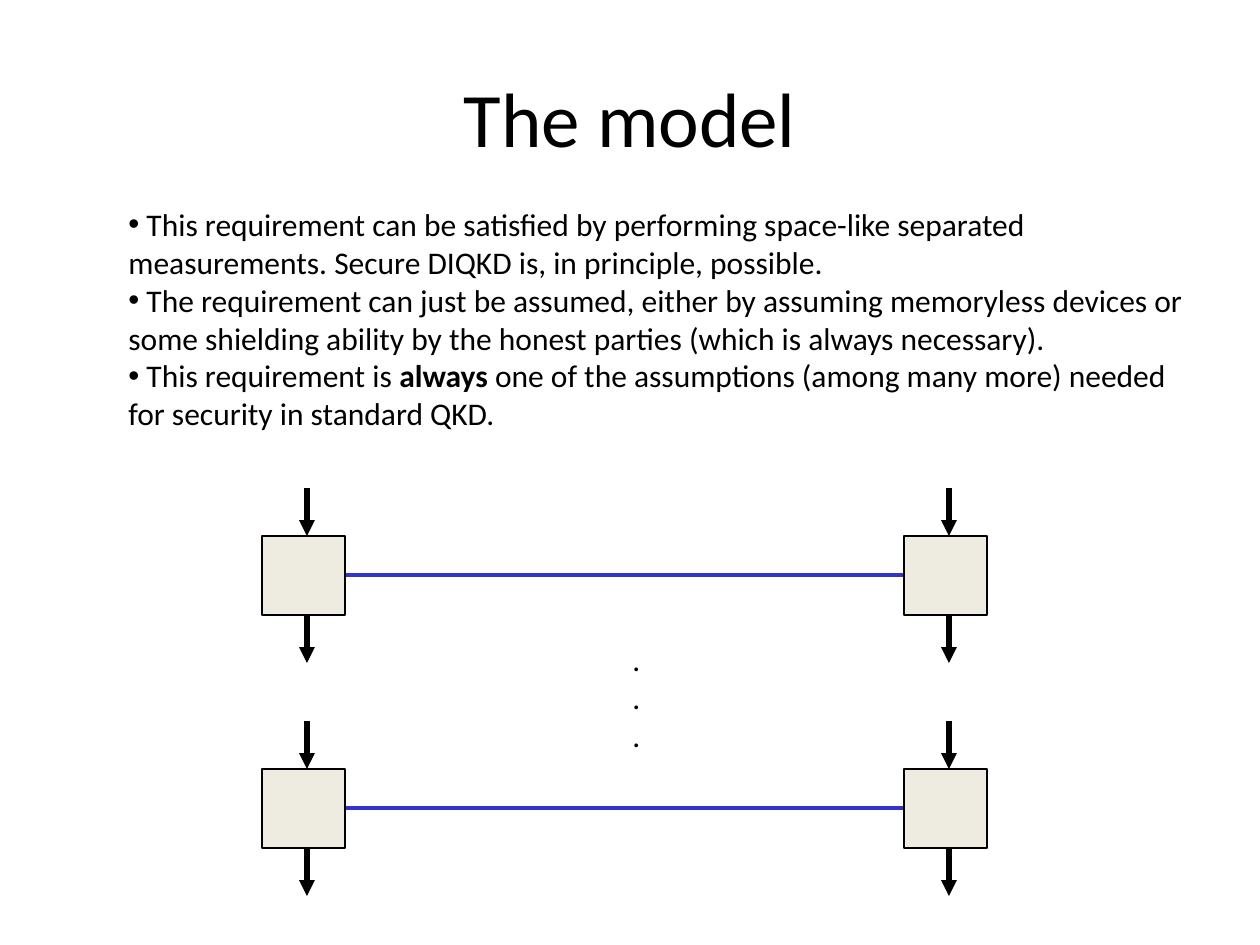
from lxml.etree import SubElement
from pptx import Presentation
from pptx.dml.color import RGBColor
from pptx.enum.shapes import MSO_CONNECTOR, MSO_SHAPE
from pptx.enum.text import MSO_ANCHOR, PP_ALIGN
from pptx.oxml.ns import qn
from pptx.util import Pt

PX = 914400 / 126
FONT = "Calibri"
BLACK, BLUE, CREAM = "000000", "3333CC", "EEECE1"
POINTS = [
    [(" This requirement can be satisfied by performing space-like separated "
      "measurements. Secure DIQKD is, in principle, possible.", False)],
    [(" The requirement can just be assumed, either by assuming memoryless devices or "
      "some shielding ability by the honest parties (which is always necessary).", False)],
    [(" This requirement is ", False), ("always ", True),
     ("one of the assumptions (among many more) needed for security in standard QKD.", False)],
]


def px(*lengths):
    """Turn pixel lengths into EMU."""
    return [round(n * PX) for n in lengths]


def color(value):
    """Turn a hex string into a colour."""
    return RGBColor.from_string(value)


def add_text(s, box, paragraphs, size, align=PP_ALIGN.LEFT, anchor=MSO_ANCHOR.TOP, bullet=None):
    """Add a wrapped text box from lists of (text, bold) runs."""
    tf = s.shapes.add_textbox(*px(*box)).text_frame
    tf.word_wrap = True
    tf.vertical_anchor = anchor
    for i, runs in enumerate(paragraphs):
        p = tf.add_paragraph() if i else tf.paragraphs[0]
        p.alignment = align
        if bullet:
            pPr = p._p.get_or_add_pPr()
            SubElement(pPr, qn("a:buFont"), typeface="Arial")
            SubElement(pPr, qn("a:buChar"), char=bullet)
        for text, bold in runs:
            r = p.add_run()
            r.text = text
            r.font.name, r.font.size, r.font.bold = FONT, Pt(size), bold
            r.font.color.rgb = color(BLACK)


def add_line(s, start, end, line_color, width, arrow=False):
    """Draw a straight line, with an arrowhead at its end on request."""
    line = s.shapes.add_connector(MSO_CONNECTOR.STRAIGHT, *px(*start, *end))
    line.line.color.rgb = color(line_color)
    line.line.width = Pt(width)
    if arrow:
        SubElement(line.line._get_or_add_ln(), qn("a:tailEnd"), type="triangle")
    SubElement(line._element.spPr, qn("a:effectLst"))


def add_device(s, x, y, w, h):
    """Draw a device square between its input and output arrows."""
    side, arrow = 79, (h - 79) // 2
    square = s.shapes.add_shape(MSO_SHAPE.RECTANGLE, *px(x, y + arrow, w, side))
    square.shadow.inherit = False
    square.fill.solid()
    square.fill.fore_color.rgb = color(CREAM)
    square.line.color.rgb = color(BLACK)
    square.line.width = Pt(0.75)
    for top in (y, y + arrow + side):
        add_line(s, (x + 45, top), (x + 45, top + arrow), BLACK, 3, arrow=True)


def add_device_pair(s, x, y, w, h):
    """Draw two devices joined by a channel."""
    device = 83
    add_line(s, (x + device, y + h // 2), (x + w - device, y + h // 2), BLUE, 2)
    for left in (x, x + w - device):
        add_device(s, left, y, device, h)


def main():
    """Build the slide and save it."""
    prs = Presentation()
    prs.slide_width, prs.slide_height = px(1260, 945)
    s = prs.slides.add_slide(prs.slide_layouts[6])
    add_text(s, (63, 38, 1134, 157), [[("The model", False)]], 44,
             PP_ALIGN.CENTER, MSO_ANCHOR.MIDDLE)
    add_text(s, (116, 199, 1092, 242), POINTS, 18, bullet="•")
    for row in range(2):
        add_device_pair(s, 262, 488 + 233 * row, 725, 175)
    add_text(s, (620, 634, 39, 126), [[("...", False)]], 18)
    prs.save("out.pptx")


if __name__ == "__main__":
    main()
